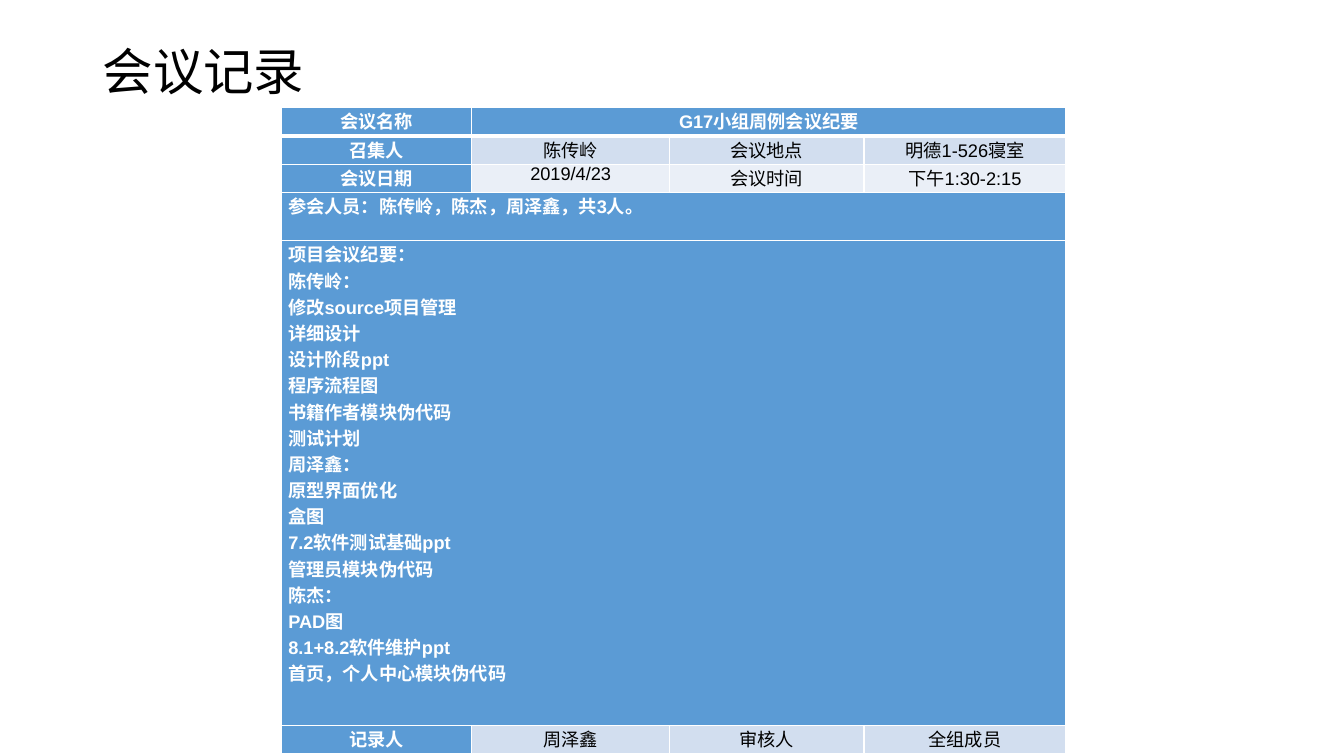
"""Build the weekly meeting minutes slide."""
from lxml import etree
from pptx import Presentation
from pptx import util as u
from pptx.dml.color import RGBColor
from pptx.enum import text
from pptx.oxml.ns import qn

theme = {
    "blue": "5B9BD5", "pale": "D2DEEF", "light": "EAEFF7",
    "white": "FFFFFF", "black": "000000",
    "head": "Arial Narrow", "body": "Arial", "big": 36, "small": 13,
    "thin": 1, "thick": 3,
}

minutes = [
    "项目会议纪要：", "陈传岭：", "修改source项目管理", "详细设计", "设计阶段ppt",
    "程序流程图", "书籍作者模块伪代码", "测试计划", "周泽鑫：", "原型界面优化",
    "盒图", "7.2软件测试基础ppt", "管理员模块伪代码", "陈杰：", "PAD图",
    "8.1+8.2软件维护ppt", "首页，个人中心模块伪代码",
]
rows = [
    (0.28, "blue", ["会议名称", "G17小组周例会议纪要"]),
    (0.28, "pale", ["召集人", "陈传岭", "会议地点", "明德1-526寝室"]),
    (0.28, "light", ["会议日期", "2019/4/23", "会议时间", "下午1:30-2:15"]),
    (0.48, "blue", ["参会人员：陈传岭，陈杰，周泽鑫，共3人。"]),
    (4.81, "blue", ["\n".join(minutes)]),
    (0.28, "pale", ["记录人", "周泽鑫", "审核人", "全组成员"]),
]
cols = [1.89, 1.96, 1.93, 2]


def style(para, face, size, tint, bold=False):
    font = para.font
    font.name, font.size, font.bold = face, u.Pt(size), bold
    font.color.rgb = RGBColor.from_string(theme[tint])


def edge(cell, side, width):
    line = etree.SubElement(cell._tc.get_or_add_tcPr(), qn("a:ln" + side), w=str(u.Pt(width)))
    fill = etree.SubElement(line, qn("a:solidFill"))
    etree.SubElement(fill, qn("a:srgbClr"), val=theme["white"])


deck = Presentation()
deck.slide_width, deck.slide_height = u.Inches(13.33), u.Inches(7.5)
slide = deck.slides.add_slide(deck.slide_layouts[6])

title = slide.shapes.add_textbox(*map(u.Inches, (0.92, 0.4, 11.5, 0.67))).text_frame
title.word_wrap = True
title.vertical_anchor = text.MSO_ANCHOR.MIDDLE
title.text = "会议记录"
title.paragraphs[0].line_spacing = 0.9
style(title.paragraphs[0], theme["head"], theme["big"], "black")

high = sum(row[0] for row in rows)
frame = slide.shapes.add_table(
    len(rows), len(cols), *map(u.Inches, (2.79, 1.07, sum(cols), high)))
table = frame.table
table.first_row = table.horz_banding = False
for col, wide in zip(table.columns, cols):
    col.width = u.Inches(wide)

for r, (tall, shade, words) in enumerate(rows):
    table.rows[r].height = u.Inches(tall)
    for c in range(len(cols)):
        cell = table.cell(r, c)
        cell.margin_left = cell.margin_right = u.Inches(0.07)
        cell.margin_top = cell.margin_bottom = 0
        for side in "LRTB":
            rule = (r, side) in ((0, "B"), (1, "T"))
            edge(cell, side, theme["thick" if rule else "thin"])
        tint = "blue" if c == 0 else shade
        cell.fill.solid()
        cell.fill.fore_color.rgb = RGBColor.from_string(theme[tint])
        if c < len(words):
            cell.text = words[c]
        dark = tint == "blue"
        for para in cell.text_frame.paragraphs:
            style(para, theme["body"], theme["small"], "white" if dark else "black", dark)
            if len(words) > 1:
                para.alignment = text.PP_ALIGN.CENTER
    if len(words) < len(cols):
        table.cell(r, len(words) - 1).merge(table.cell(r, len(cols) - 1))

deck.save("out.pptx")
